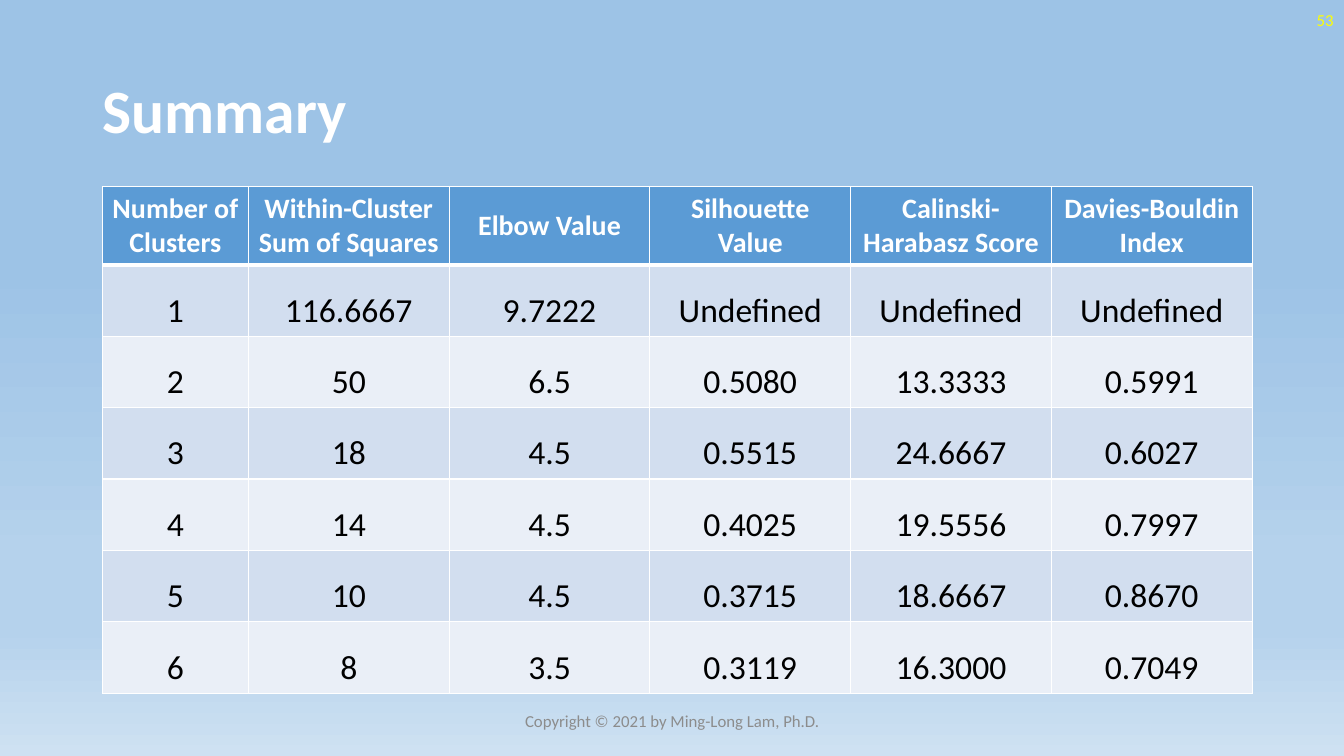
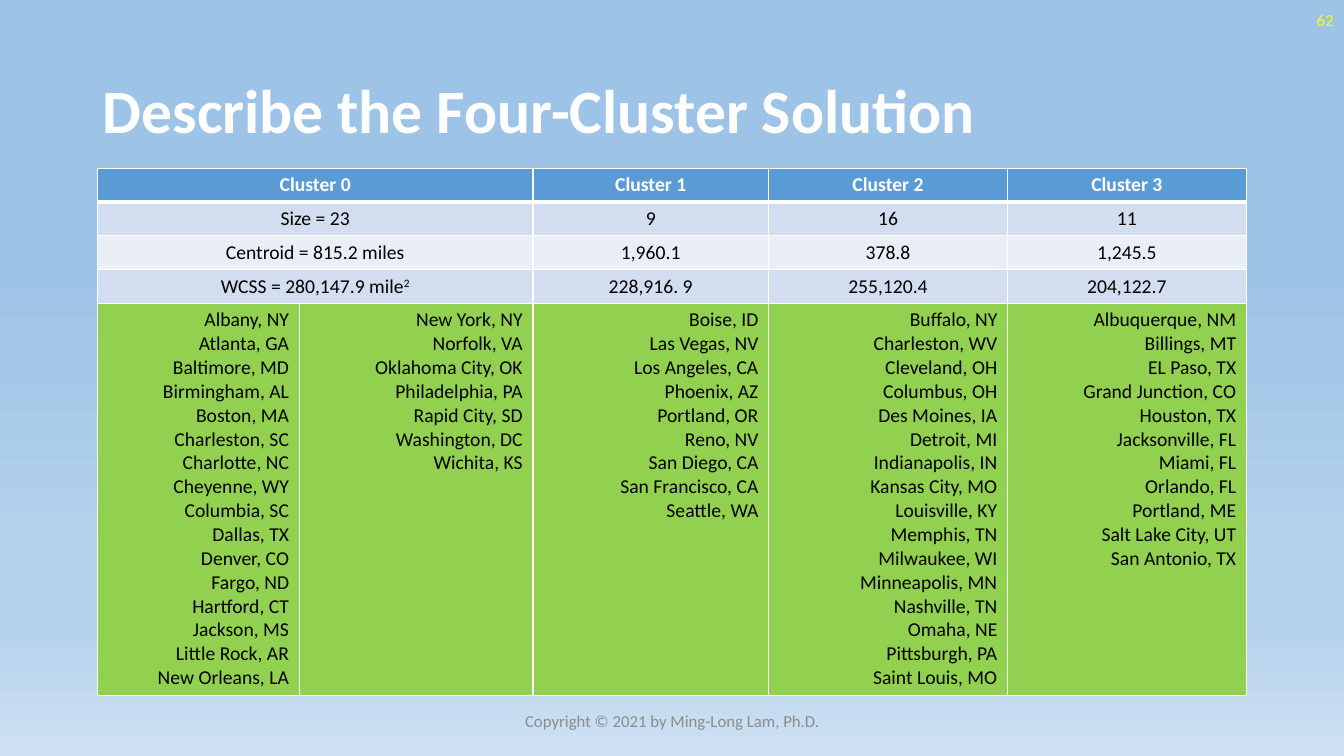
from lxml.etree import SubElement
from pptx import Presentation
from pptx.dml.color import RGBColor
from pptx.enum.text import MSO_ANCHOR, PP_ALIGN
from pptx.oxml.ns import qn
from pptx.util import Cm, Pt

FONT = "Calibri"
WHITE, BLACK, YELLOW, GRAY = "FFFFFF", "000000", "FFFF00", "8C8C8C"
HEADER_BLUE, CITY_GREEN = "5B9BD5", "92D050"
BANDS = ("D2DEEF", "EAEFF7")
BACKGROUND_STOPS = [(35, "9DC3E6"), (74, "B5D2EC"), (83, "B5D2EC"), (100, "CEE1F2")]

# Boxes are left, top, width, height in centimetres.
TITLE_BOX = (2.34, 1.02, 29.21, 3.68)
NUMBER_BOX = (26.24, 0, 7.62, 1.02)
FOOTER_BOX = (11.23, 17.65, 11.43, 1.02)
FOOTER = "Copyright © 2021 by Ming-Long Lam, Ph.D."

SUMMARY_ROWS = [
    ("Number of Clusters", "Within-Cluster Sum of Squares", "Elbow Value",
     "Silhouette Value", "Calinski-Harabasz Score", "Davies-Bouldin Index"),
    ("1", "116.6667", "9.7222", "Undefined", "Undefined", "Undefined"),
    ("2", "50", "6.5", "0.5080", "13.3333", "0.5991"),
    ("3", "18", "4.5", "0.5515", "24.6667", "0.6027"),
    ("4", "14", "4.5", "0.4025", "19.5556", "0.7997"),
    ("5", "10", "4.5", "0.3715", "18.6667", "0.8670"),
    ("6", "8", "3.5", "0.3119", "16.3000", "0.7049"),
]
SUMMARY_WIDTHS = [3.68] + [5.06] * 5
SUMMARY_HEIGHTS = [1.97] + [1.8] * 6

# A caret raises the text after it; None continues the cell on its left.
CLUSTER_ROWS = [
    ("Cluster 0", None, "Cluster 1", "Cluster 2", "Cluster 3"),
    ("Size = 23", None, "9", "16", "11"),
    ("Centroid = 815.2 miles", None, "1,960.1", "378.8", "1,245.5"),
    ("WCSS = 280,147.9 mile^2", None, "228,916. 9", "255,120.4", "204,122.7"),
]
CITIES = [
    ["Albany, NY", "Atlanta, GA", "Baltimore, MD", "Birmingham, AL", "Boston, MA",
     "Charleston, SC", "Charlotte, NC", "Cheyenne, WY", "Columbia, SC", "Dallas, TX",
     "Denver, CO", "Fargo, ND", "Hartford, CT", "Jackson, MS", "Little Rock, AR",
     "New Orleans, LA"],
    ["New York, NY", "Norfolk, VA", "Oklahoma City, OK", "Philadelphia, PA",
     "Rapid City, SD", "Washington, DC", "Wichita, KS"],
    ["Boise, ID", "Las Vegas, NV", "Los Angeles, CA", "Phoenix, AZ", "Portland, OR",
     "Reno, NV", "San Diego, CA", "San Francisco, CA", "Seattle, WA"],
    ["Buffalo, NY", "Charleston, WV", "Cleveland, OH", "Columbus, OH", "Des Moines, IA",
     "Detroit, MI", "Indianapolis, IN", "Kansas City, MO", "Louisville, KY",
     "Memphis, TN", "Milwaukee, WI", "Minneapolis, MN", "Nashville, TN", "Omaha, NE",
     "Pittsburgh, PA", "Saint Louis, MO"],
    ["Albuquerque, NM", "Billings, MT", "EL Paso, TX", "Grand Junction, CO",
     "Houston, TX", "Jacksonville, FL", "Miami, FL", "Orlando, FL", "Portland, ME",
     "Salt Lake City, UT", "San Antonio, TX"],
]
CLUSTER_WIDTHS = [5.08, 5.89, 5.94, 6.02, 6.02]
CLUSTER_HEIGHTS = [0.85] * 4 + [9.88]


def color(value):
    """Turn a hex string into a colour."""
    return RGBColor.from_string(value)


def write(text_frame, text, size, ink, align=PP_ALIGN.LEFT, bold=False, spacing=1.0):
    """Fill a text frame, one paragraph a line, and format its runs."""
    text_frame.text = text.replace("^", "")
    for paragraph, line in zip(text_frame.paragraphs, text.split("\n")):
        base, _, raised = line.partition("^")
        paragraph.text = base
        paragraph.alignment = align
        paragraph.line_spacing = spacing
        if raised:
            run = paragraph.add_run()
            run.text = raised
            run._r.get_or_add_rPr().set("baseline", "30000")
        for run in paragraph.runs:
            run.font.name = FONT
            run.font.size = Pt(size)
            run.font.bold = bold
            run.font.color.rgb = color(ink)


def add_text(slide, box, text, size, ink, **style):
    """Add a wrapping text box with vertically centred text."""
    shape = slide.shapes.add_textbox(*map(Cm, box))
    shape.text_frame.word_wrap = True
    shape.text_frame.vertical_anchor = MSO_ANCHOR.MIDDLE
    write(shape.text_frame, text, size, ink, **style)


def paint_background(master):
    """Give the master the vertical gradient that every slide inherits."""
    fill = master.background.fill
    fill.gradient()
    fill.gradient_angle = 270
    stops = master.element.xpath("./p:cSld/p:bg//a:gsLst")[0]
    for stop in list(stops):
        stops.remove(stop)
    for position, value in BACKGROUND_STOPS:
        stop = SubElement(stops, qn("a:gs"), pos=str(position * 1000))
        SubElement(stop, qn("a:srgbClr"), val=value)


def style_cell(cell, fill, top=1, bottom=1):
    """Draw white borders, with widths in points, and fill the cell."""
    properties = cell._tc.get_or_add_tcPr()
    for side, width in (("L", 1), ("R", 1), ("T", top), ("B", bottom)):
        line = SubElement(properties, qn("a:ln" + side), w=str(Pt(width)))
        paint = SubElement(line, qn("a:solidFill"))
        SubElement(paint, qn("a:srgbClr"), val=WHITE)
    cell.fill.solid()
    cell.fill.fore_color.rgb = color(fill)


def add_grid(slide, left, top, widths, heights, rows, header_size, body_size, spacing=1.0):
    """Add a table with a blue header; list cells become green city columns."""
    table = slide.shapes.add_table(len(rows), len(widths), Cm(left), Cm(top),
                                   Cm(sum(widths)), Cm(sum(heights))).table
    table.horz_banding = False
    for column, width in zip(table.columns, widths):
        column.width = Cm(width)
    for row, height in zip(table.rows, heights):
        row.height = Cm(height)
    for row_index, values in enumerate(rows):
        header = row_index == 0
        for column_index, value in enumerate(values):
            cell = table.cell(row_index, column_index)
            cities = isinstance(value, list)
            fill = (HEADER_BLUE if header else CITY_GREEN if cities
                    else BANDS[(row_index - 1) % 2])
            style_cell(cell, fill, top=3 if row_index == 1 else 1,
                       bottom=3 if header else 1)
            if value is None:
                table.cell(row_index, column_index - 1).merge(cell)
            elif cities:
                write(cell.text_frame, "\n".join(value), body_size, BLACK, PP_ALIGN.RIGHT)
            else:
                cell.vertical_anchor = MSO_ANCHOR.MIDDLE
                write(cell.text_frame, value, header_size if header else body_size,
                      WHITE if header else BLACK, PP_ALIGN.CENTER, header,
                      1.0 if header else spacing)


def add_slide(presentation, title, number):
    """Add a slide with its title, page number and copyright line."""
    slide = presentation.slides.add_slide(presentation.slide_layouts[6])
    add_text(slide, TITLE_BOX, title, 44, WHITE, bold=True, spacing=0.9)
    add_text(slide, NUMBER_BOX, number, 12, YELLOW, align=PP_ALIGN.RIGHT)
    add_text(slide, FOOTER_BOX, FOOTER, 12, GRAY, align=PP_ALIGN.CENTER)
    return slide


presentation = Presentation()
presentation.slide_width = Cm(33.87)
presentation.slide_height = Cm(19.05)
paint_background(presentation.slide_master)

summary = add_slide(presentation, "Summary", "53")
add_grid(summary, 2.58, 4.7, SUMMARY_WIDTHS, SUMMARY_HEIGHTS, SUMMARY_ROWS,
         header_size=20, body_size=24, spacing=1.5)

solution = add_slide(presentation, "Describe the Four-Cluster Solution", "62")
add_grid(solution, 2.46, 4.24, CLUSTER_WIDTHS, CLUSTER_HEIGHTS, CLUSTER_ROWS + [CITIES],
         header_size=14, body_size=14)

presentation.save("out.pptx")
